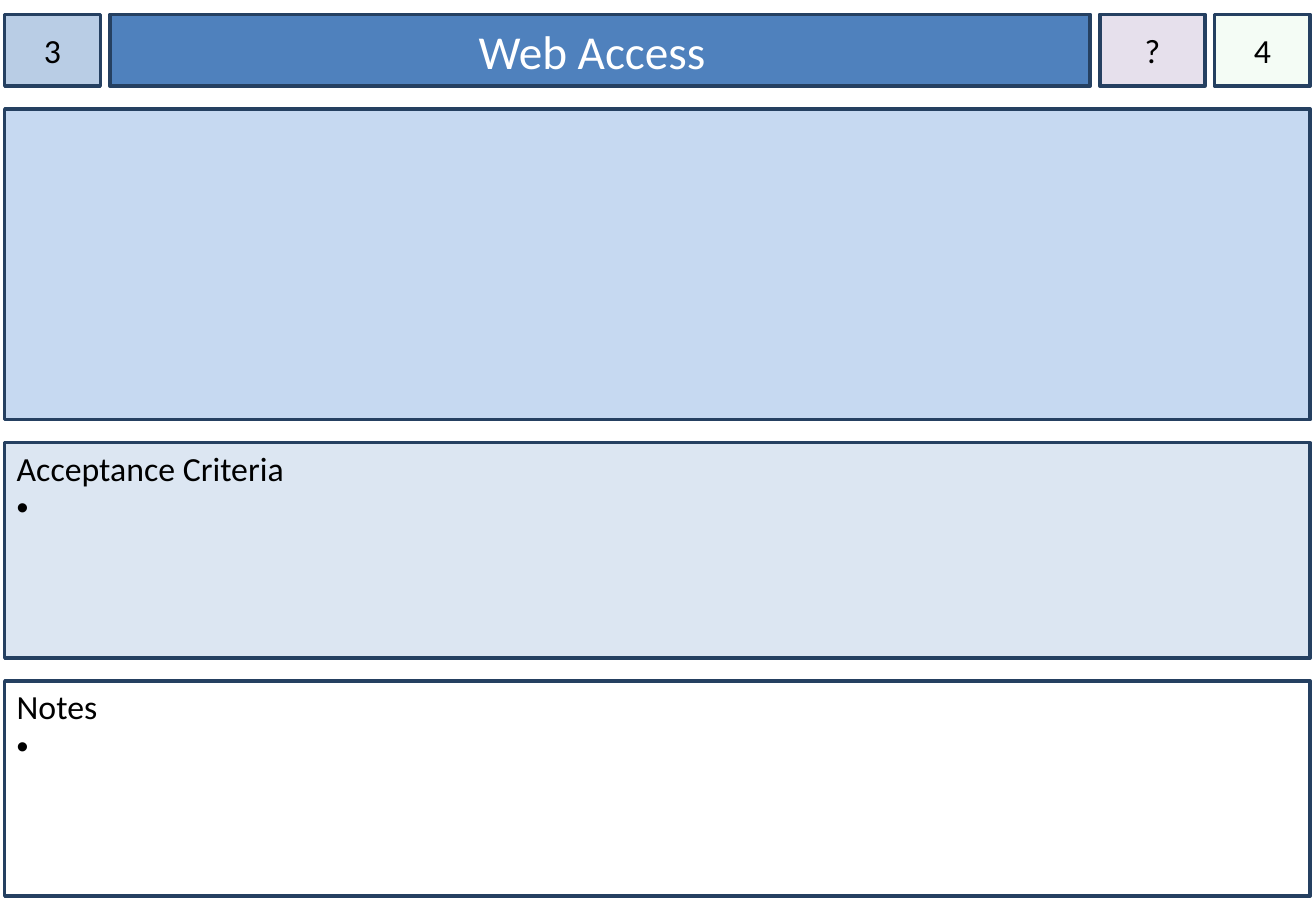
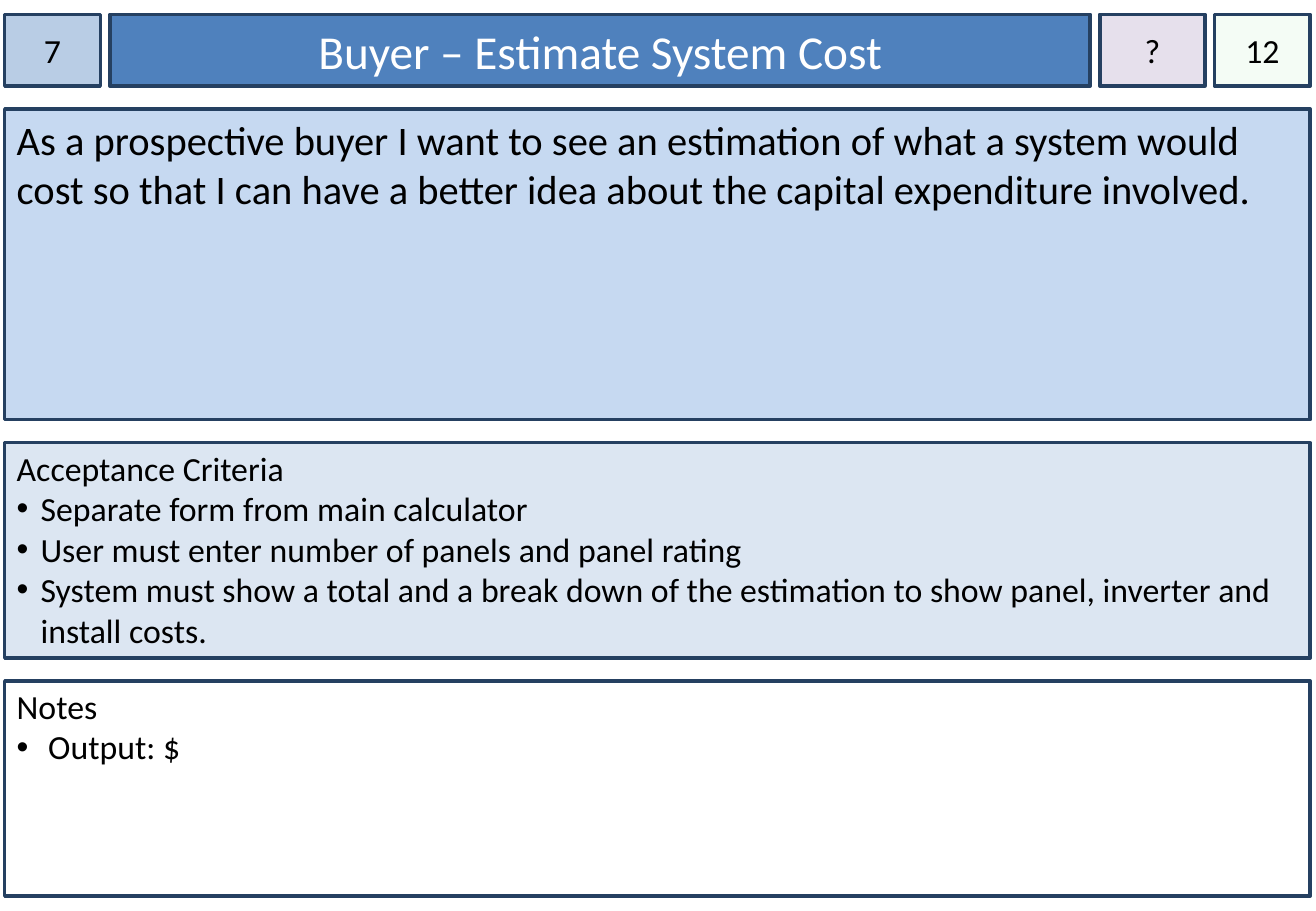
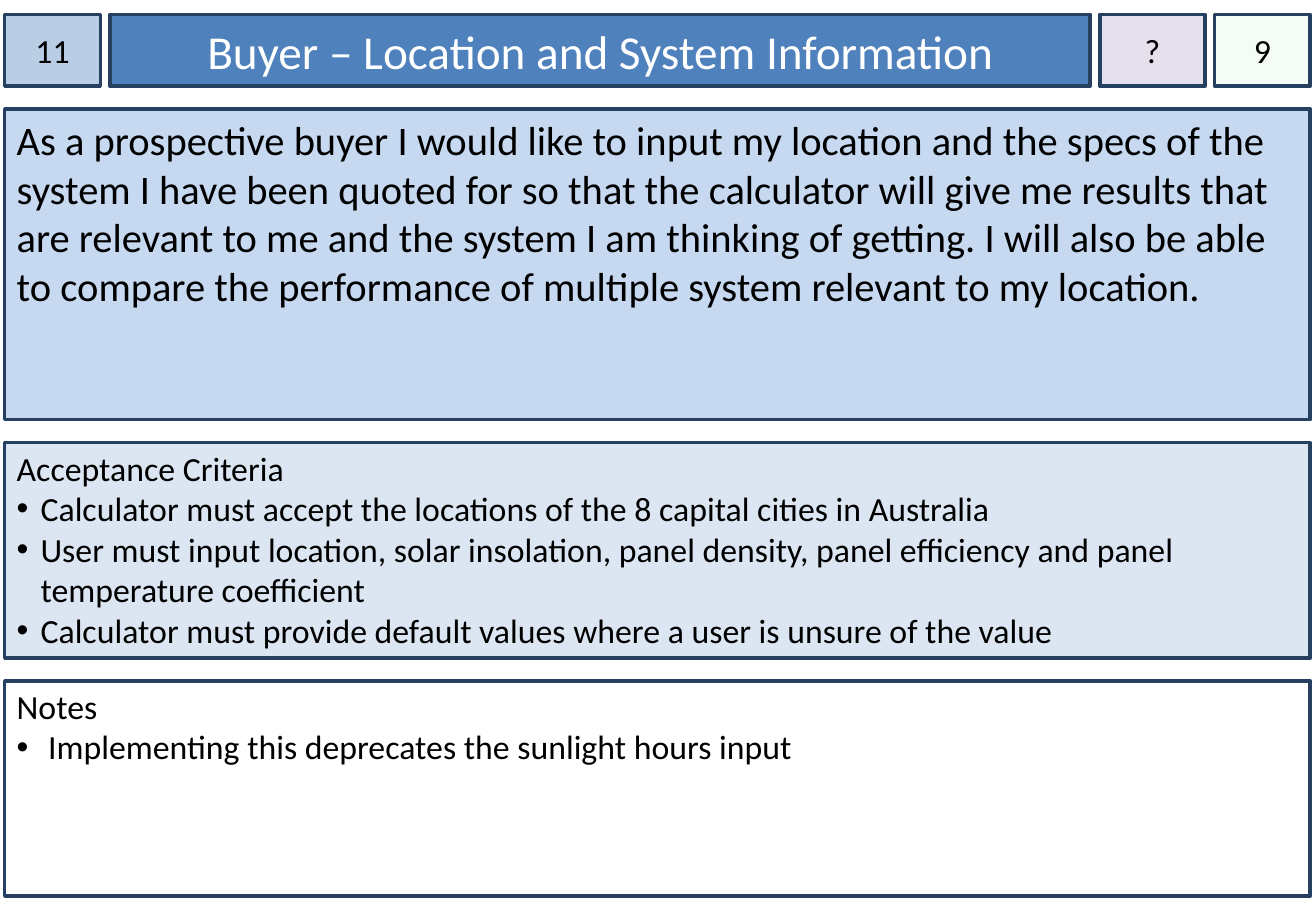
from dataclasses import dataclass

from lxml import etree
from pptx import Presentation
from pptx.dml.color import RGBColor
from pptx.enum.shapes import MSO_SHAPE
from pptx.enum.text import MSO_ANCHOR, PP_ALIGN
from pptx.oxml.ns import qn
from pptx.util import Cm, Pt

RECT = MSO_SHAPE.RECTANGLE
TOP, MIDDLE = MSO_ANCHOR.TOP, MSO_ANCHOR.MIDDLE
LEFT, CENTER = PP_ALIGN.LEFT, PP_ALIGN.CENTER


@dataclass(frozen=True)
class Theme:
    font: str = "Calibri"
    bullet_font: str = "Arial"
    title_size: int = 28
    story_size: int = 24
    text_size: int = 20
    line_width: int = 2
    ink: str = "000000"
    title_ink: str = "FFFFFF"
    border: str = "254061"
    number: str = "B9CDE5"
    title: str = "4F81BD"
    priority: str = "E6E0EC"
    estimate: str = "CCF0CD"
    story: str = "C6D9F1"
    criteria: str = "DCE6F2"
    notes: str = "FFFFFF"


# Card grid, in cm
MARGIN, TOP_EDGE = 0.1, 0.3
COL_GAP, ROW_GAP = 0.2, 0.48
COL_WIDTHS = (2, 20.5, 2.2, 2)
ROW_HEIGHTS = (1.5, 6.5, 4.5, 4.5)
FULL_WIDTH = sum(COL_WIDTHS) + COL_GAP * (len(COL_WIDTHS) - 1)
INDENT = 0.5

# Text insets in cm: left, top, right, bottom
BOX_INSETS = (0.25, 0.13, 0.25, 0.13)
BADGE_INSETS = (0, 0.13, 0, 0.13)
LIST_INSETS = (0.25, 0.1, 0.25, 0.13)


def offsets(start, sizes, gap):
    return [start + sum(sizes[:i]) + gap * i for i in range(len(sizes))]


COLS = offsets(MARGIN, COL_WIDTHS, COL_GAP)
ROWS = offsets(TOP_EDGE, ROW_HEIGHTS, ROW_GAP)


class StoryCards:
    def __init__(self, prs, theme):
        self.prs, self.theme, self.slide = prs, theme, None

    def new_slide(self):
        self.slide = self.prs.slides.add_slide(self.prs.slide_layouts[6])

    def box(self, row, fill, col=None, insets=BOX_INSETS, anchor=TOP):
        """Bordered rectangle in one grid column, or across the whole card."""
        x, width = (MARGIN, FULL_WIDTH) if col is None else (COLS[col], COL_WIDTHS[col])
        s = self.slide.shapes.add_shape(
            RECT, Cm(x), Cm(ROWS[row]), Cm(width), Cm(ROW_HEIGHTS[row]))
        s.shadow.inherit = False
        s.fill.solid()
        s.fill.fore_color.rgb = RGBColor.from_string(fill)
        s.line.color.rgb = RGBColor.from_string(self.theme.border)
        s.line.width = Pt(self.theme.line_width)
        tf = s.text_frame
        tf.word_wrap = True
        tf.vertical_anchor = anchor
        tf.margin_left, tf.margin_top, tf.margin_right, tf.margin_bottom = map(Cm, insets)
        return s

    def add_text(self, p, text, size, color=None, align=LEFT):
        p.alignment = align
        r = p.add_run()
        r.text = text
        r.font.name = self.theme.font
        r.font.size = Pt(size)
        r.font.color.rgb = RGBColor.from_string(color or self.theme.ink)

    def bullet(self, p):
        pPr = p._p.get_or_add_pPr()
        pPr.set("marL", str(Cm(INDENT)))
        pPr.set("indent", str(-Cm(INDENT)))
        etree.SubElement(pPr, qn("a:buFont"), typeface=self.theme.bullet_font)
        etree.SubElement(pPr, qn("a:buChar"), char="•")

    def title(self, text):
        s = self.box(0, self.theme.title, col=1, anchor=MIDDLE)
        self.add_text(s.text_frame.paragraphs[0], text, self.theme.title_size,
                      self.theme.title_ink, CENTER)

    def badge(self, col, text, fill, opacity=None, wrap=True):
        s = self.box(0, fill, col, BADGE_INSETS, MIDDLE)
        s.text_frame.word_wrap = wrap
        self.add_text(s.text_frame.paragraphs[0], text, self.theme.text_size, align=CENTER)
        if opacity is not None:
            color = s._element.spPr.find(qn("a:solidFill"))[0]
            etree.SubElement(color, qn("a:alpha"), val=str(opacity * 1000))

    def story(self, text):
        s = self.box(1, self.theme.story)
        if text:
            self.add_text(s.text_frame.paragraphs[0], text, self.theme.story_size)

    def bullet_list(self, row, heading, items, fill):
        tf = self.box(row, fill, insets=LIST_INSETS).text_frame
        self.add_text(tf.paragraphs[0], heading, self.theme.text_size)
        for item in items:
            p = tf.add_paragraph()
            self.add_text(p, item, self.theme.text_size)
            self.bullet(p)

    def card(self, number, title, estimate, story, criteria, notes):
        t = self.theme
        self.new_slide()
        # Header row
        self.badge(0, number, t.number)
        self.title(title)
        self.badge(2, "?", t.priority, wrap=False)
        self.badge(3, estimate, t.estimate, opacity=20)
        # Body rows
        self.story(story)
        self.bullet_list(2, "Acceptance Criteria", criteria, t.criteria)
        self.bullet_list(3, "Notes", notes, t.notes)


# Card contents: a blank item keeps its bullet visible
CARDS = [
    dict(number="3", title="Web Access\t", estimate="4", story="",
         criteria=[" "], notes=[" "]),
    dict(number="7", title="Buyer – Estimate System Cost", estimate="12",
         story="As a prospective buyer I want to see an estimation of what a system "
               "would cost so that I can have a better idea about the capital "
               "expenditure involved.",
         criteria=["Separate form from main calculator",
                   "User must enter number of panels and panel rating",
                   "System must show a total and a break down of the estimation to "
                   "show panel, inverter and install costs. "],
         notes=[" Output: $"]),
    dict(number="11", title="Buyer – Location and System Information", estimate="9",
         story="As a prospective buyer I would like to input my location and the specs "
               "of the system I have been quoted for so that the calculator will give "
               "me results that are relevant to me and the system I am thinking of "
               "getting. I will also be able to compare the performance of multiple "
               "system relevant to my location.",
         criteria=["Calculator must accept the locations of the 8 capital cities in "
                   "Australia",
                   "User must input location, solar insolation, panel density, panel "
                   "efficiency and panel temperature coefficient",
                   "Calculator must provide default values where a user is unsure of "
                   "the value"],
         notes=[" Implementing this deprecates the sunlight hours input"]),
]

prs = Presentation()
prs.slide_width, prs.slide_height = Cm(27.52), Cm(19.05)
cards = StoryCards(prs, Theme())
for content in CARDS:
    cards.card(**content)
prs.save("out.pptx")
